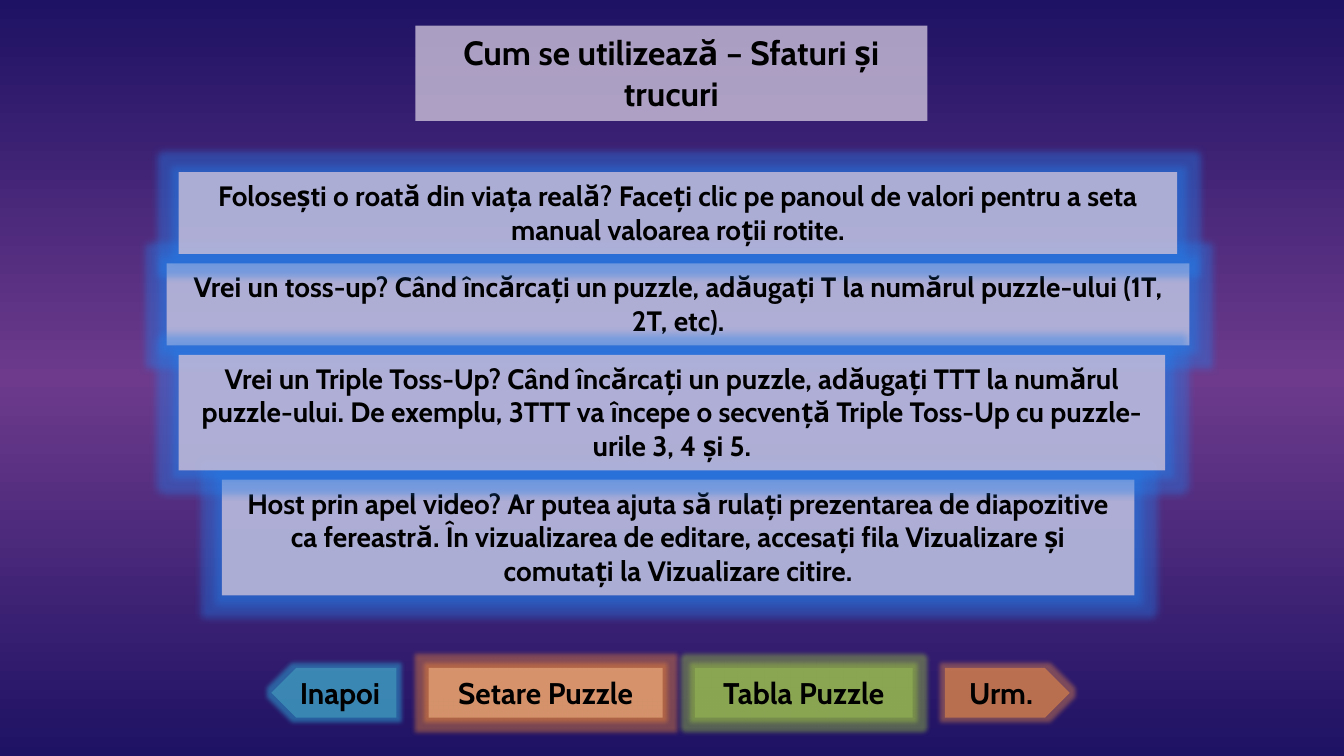
from dataclasses import dataclass

import lxml.etree
import pptx
import pptx.dml.color
import pptx.enum.shapes
import pptx.enum.text
import pptx.oxml.ns
import pptx.util

Inches = pptx.util.Inches
RGB = pptx.dml.color.RGBColor.from_string
qn = pptx.oxml.ns.qn
Shapes = pptx.enum.shapes.MSO_SHAPE


@dataclass(frozen=True)
class Theme:
    font: str = "Cabin"
    text: str = "000000"
    edge: str = "1E1264"
    middle: str = "6D3A8C"
    panel: str = "CCC1DA"
    panel_alpha: int = 80
    button_alpha: int = 50
    title_size: int = 18
    button_size: int = 16
    tip_size: int = 15


@dataclass(frozen=True)
class Glow:
    color: str
    alpha: int
    radius: float


@dataclass(frozen=True)
class Tip:
    text: str
    left: float
    width: float
    lines: int


@dataclass(frozen=True)
class Button:
    text: str
    width: float
    color: str
    glow: Glow
    shape: Shapes = Shapes.RECTANGLE
    flipped: bool = False


THEME = Theme()
SLIDE_WIDTH = 10
SLIDE_HEIGHT = SLIDE_WIDTH * 9 / 16
TIPS_TOP, TIP_GAP, TIP_PADDING, LINE_HEIGHT = 1.28, 0.07, 0.11, 0.25
BUTTONS_LEFT, BUTTONS_TOP, BUTTON_HEIGHT, BUTTON_GAP = 2.02, 4.97, 0.37, 0.24
TIP_GLOW = Glow("217EEB", 40, 8)
TIP_ORDER = (1, 0, 3, 2)  # back to front, so that the glows overlap properly

TITLE = "Cum se utilizează – Sfaturi și trucuri"
TIPS = [
    Tip("Folosești o roată din viața reală? Faceți clic pe panoul de valori "
        "pentru a seta manual valoarea roții rotite.", 1.33, 7.43, 2),
    Tip("Vrei un toss-up? Când încărcați un puzzle, adăugați T la numărul "
        "puzzle-ului (1T, 2T, etc).", 1.24, 7.61, 2),
    Tip("Vrei un Triple Toss-Up? Când încărcați un puzzle, adăugați TTT la "
        "numărul puzzle-ului. De exemplu, 3TTT va începe o secvență Triple "
        "Toss-Up cu puzzle-urile 3, 4 și 5.", 1.33, 7.34, 3),
    Tip("Host prin apel video? Ar putea ajuta să rulați prezentarea de "
        "diapozitive ca fereastră. În vizualizarea de editare, accesați fila "
        "Vizualizare și comutați la Vizualizare citire.", 1.65, 6.79, 3),
]
BUTTONS = [
    Button("Inapoi", 0.93, "4BACC6", Glow("2D95C8", 60, 5), Shapes.PENTAGON, True),
    Button("Setare Puzzle", 1.74, "FAC090", Glow("FF9234", 40, 5)),
    Button("Tabla Puzzle", 1.62, "9BBB59", Glow("A8D63C", 40, 5)),
    Button("Urm.", 0.93, "F79646", Glow("F79646", 40, 5), Shapes.PENTAGON),
]


def add_alpha(color_element, percent: int) -> None:
    alpha = lxml.etree.SubElement(color_element, qn("a:alpha"))
    alpha.set("val", str(percent * 1000))


def paint(box, color: str, alpha: int) -> None:
    box.fill.solid()
    box.fill.fore_color.rgb = RGB(color)
    add_alpha(box._element.spPr.find(f"{qn('a:solidFill')}/{qn('a:srgbClr')}"), alpha)
    box.line.fill.background()


def add_glow(box, glow: Glow) -> None:
    box.shadow.inherit = False
    effects = box._element.spPr.find(qn("a:effectLst"))
    halo = lxml.etree.SubElement(effects, qn("a:glow"))
    halo.set("rad", str(int(pptx.util.Pt(glow.radius))))
    color = lxml.etree.SubElement(halo, qn("a:srgbClr"))
    color.set("val", glow.color)
    add_alpha(color, glow.alpha)


def write(box, text: str, size: int) -> None:
    frame = box.text_frame
    frame_format = {
        "word_wrap": True,
        "auto_size": pptx.enum.text.MSO_AUTO_SIZE.NONE,
        "vertical_anchor": pptx.enum.text.MSO_ANCHOR.TOP,
    }
    for name, value in frame_format.items():
        setattr(frame, name, value)
    para = frame.paragraphs[0]
    para.alignment = pptx.enum.text.PP_ALIGN.CENTER
    span = para.add_run()
    span.text = text
    span_format = {"name": THEME.font, "size": pptx.util.Pt(size), "bold": True}
    for name, value in span_format.items():
        setattr(span.font, name, value)
    span.font.color.rgb = RGB(THEME.text)


def set_background(page) -> None:
    fill = page.background.fill
    fill.gradient()
    fill.gradient_angle = 270
    stops = page._element.find(f".//{qn('a:gsLst')}")
    for stop in list(stops):
        stops.remove(stop)
    for position, color in ((0, THEME.edge), (50, THEME.middle), (100, THEME.edge)):
        stop = lxml.etree.SubElement(stops, qn("a:gs"))
        stop.set("pos", str(position * 1000))
        lxml.etree.SubElement(stop, qn("a:srgbClr")).set("val", color)


def add_title(page) -> None:
    box = page.shapes.title
    place = {"left": 3.09, "top": 0.19, "width": 3.81, "height": 0.71}
    for name, value in place.items():
        setattr(box, name, Inches(value))
    paint(box, THEME.panel, THEME.panel_alpha)
    write(box, TITLE, THEME.title_size)


def add_tips(page, tips: list[Tip]) -> None:
    heights = [TIP_PADDING + LINE_HEIGHT * tip.lines for tip in tips]
    for index in TIP_ORDER:
        tip = tips[index]
        top = TIPS_TOP + sum(heights[:index]) + TIP_GAP * index
        box = page.shapes.add_shape(
            Shapes.RECTANGLE, Inches(tip.left), Inches(top),
            Inches(tip.width), Inches(heights[index]))
        paint(box, THEME.panel, THEME.panel_alpha)
        add_glow(box, TIP_GLOW)
        write(box, tip.text, THEME.tip_size)


def add_buttons(page, buttons: list[Button]) -> None:
    left = BUTTONS_LEFT
    for button in buttons:
        box = page.shapes.add_shape(
            button.shape, Inches(left), Inches(BUTTONS_TOP),
            Inches(button.width), Inches(BUTTON_HEIGHT))
        if button.flipped:
            box._element.spPr.find(qn("a:xfrm")).set("flipH", "1")
        paint(box, button.color, THEME.button_alpha)
        add_glow(box, button.glow)
        write(box, button.text, THEME.button_size)
        left += button.width + BUTTON_GAP


def main() -> None:
    deck = pptx.Presentation()
    deck.slide_width, deck.slide_height = Inches(SLIDE_WIDTH), Inches(SLIDE_HEIGHT)
    page = deck.slides.add_slide(deck.slide_layouts.get_by_name("Title Only"))
    set_background(page)
    add_title(page)
    add_buttons(page, BUTTONS)
    add_tips(page, TIPS)
    deck.save("out.pptx")


if __name__ == "__main__":
    main()
